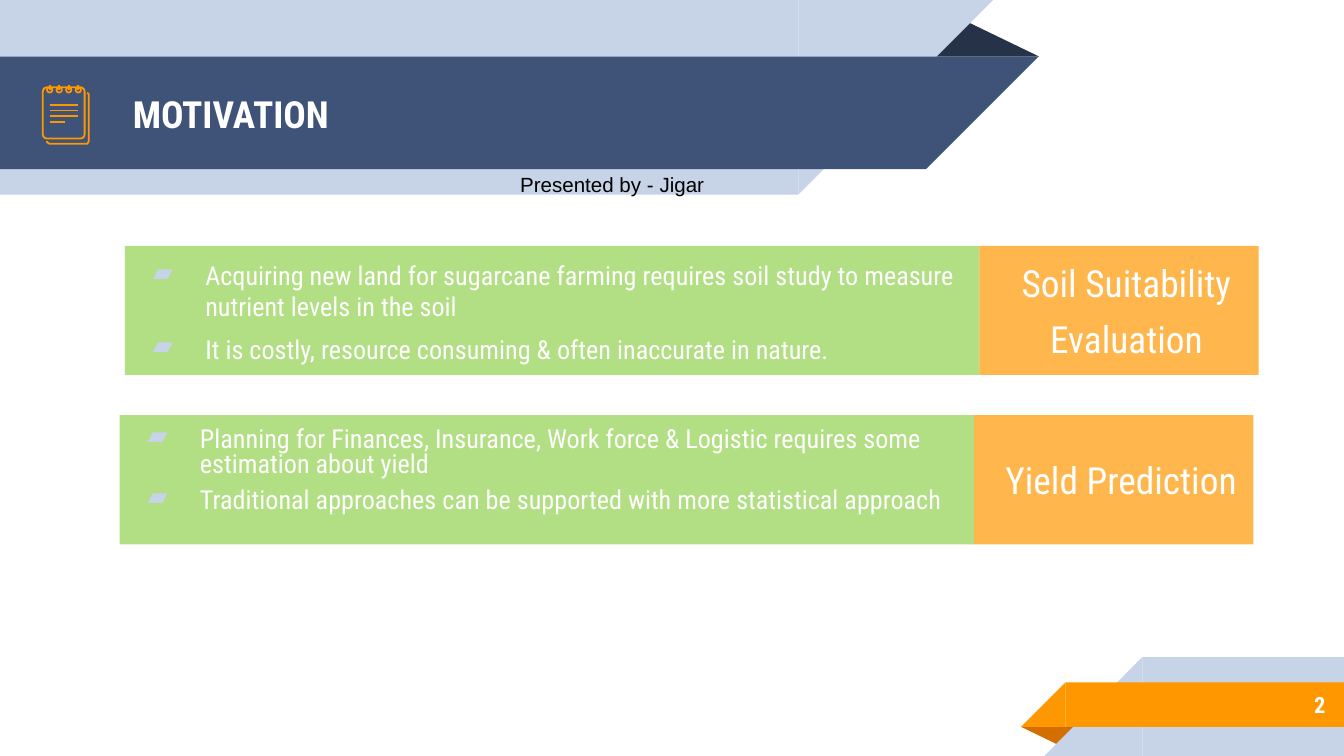
import pptx
import pptx.util
import pptx.dml.color
import pptx.enum.shapes
import pptx.enum.text
import pptx.oxml
import pptx.oxml.ns
from lxml import etree

Cm = pptx.util.Cm
Pt = pptx.util.Pt
Shape = pptx.enum.shapes.MSO_SHAPE
Align = pptx.enum.text.PP_ALIGN
Anchor = pptx.enum.text.MSO_ANCHOR
qn = pptx.oxml.ns.qn

NAVY, PALE, ORANGE, GREEN, WHITE = "3F5378", "C7D3E6", "FF9800", "92D050", "FFFFFF"
HEADING_FONT = "Roboto Condensed"


def colour(target, value):
    """Colour a fill, a line's fill or a font."""
    if hasattr(target, "solid"):
        target.solid()
        target.fore_color.rgb = pptx.dml.color.RGBColor.from_string(value)
    else:
        target.color.rgb = pptx.dml.color.RGBColor.from_string(value)


def write(box, lines, size, font=HEADING_FONT, value=WHITE, bold=False,
          align=Align.LEFT, anchor=Anchor.MIDDLE, indent=None, bullet=None, spacing=None):
    """Fill a box with one paragraph per line."""
    frame = box.text_frame
    frame.word_wrap = True
    frame.auto_size = pptx.enum.text.MSO_AUTO_SIZE.NONE
    frame.vertical_anchor = anchor
    frame.margin_left = frame.margin_right = Cm(0.25)
    frame.margin_top = frame.margin_bottom = Cm(0.25)
    frame.text = "\n".join(lines)
    for index, para in enumerate(frame.paragraphs):
        para.alignment = align
        para.space_before = Pt(6 if index else 0)
        if spacing:
            para.line_spacing = spacing
        props = para._p.get_or_add_pPr()
        if indent:
            props.set("marL", str(Cm(indent[0])))
            props.set("indent", str(Cm(indent[1])))
        if bullet:
            bullet_colour = etree.SubElement(props, qn("a:buClr"))
            etree.SubElement(bullet_colour, qn("a:srgbClr")).set("val", PALE)
            etree.SubElement(props, qn("a:buChar")).set("char", bullet)
        para.font.size = Pt(size)
        para.font.name = font
        para.font.bold = bold
        colour(para.font, value)


deck = pptx.Presentation()
deck.slide_width, deck.slide_height = Cm(25.4), Cm(14.29)
page = deck.slides.add_slide(deck.slide_layouts[5])
shapes = page.shapes

# Ribbons at the top left and bottom right: shape, place, colour, flip, rotation
ribbons = [
    (Shape.ISOSCELES_TRIANGLE, (17.48, 0.36, 2.16, 0.71), "263248", None, 0),
    (Shape.RECTANGLE, (0, 0, 15.09, 3.68), PALE, None, 0),
    (Shape.RIGHT_TRIANGLE, (15.09, 0, 3.68, 3.68), PALE, "flipV", 0),
    (Shape.RECTANGLE, (0, 1.07, 17.5, 2.13), NAVY, None, 0),
    (Shape.RIGHT_TRIANGLE, (17.5, 1.07, 2.13, 2.13), NAVY, "flipV", 0),
    (Shape.ISOSCELES_TRIANGLE, (19.3, 13.74, 1.09, 0.36), "D26F00", None, 180),
    (Shape.RECTANGLE, (21.59, 12.42, 3.81, 1.87), PALE, None, 0),
    (Shape.RIGHT_TRIANGLE, (19.74, 12.42, 1.85, 1.87), PALE, "flipH", 0),
    (Shape.RECTANGLE, (20.14, 12.9, 5.26, 0.84), ORANGE, None, 0),
    (Shape.RIGHT_TRIANGLE, (19.3, 12.9, 0.84, 0.84), ORANGE, "flipH", 0),
]
for kind, place, value, flip, rotation in ribbons:
    ribbon = shapes.add_shape(kind, *map(Cm, place))
    ribbon.shadow.inherit = False
    ribbon.line.fill.background()
    colour(ribbon.fill, value)
    ribbon.rotation = rotation
    if kind == Shape.ISOSCELES_TRIANGLE:
        ribbon.adjustments[0] = 0.32
    if flip:
        ribbon.element.spPr.get_or_add_xfrm().set(flip, "1")

# Title, raised above the ribbons
title = shapes.title
title.left, title.top, title.width, title.height = map(Cm, (2.26, 1.09, 14.6, 2.13))
write(title, ["MOTIVATION"], 20, bold=True)
shapes.element.append(title.element)

# Page number and presenter
number = shapes.add_textbox(Cm(21.16), Cm(12.88), Cm(4.14), Cm(0.89))
write(number, ["2"], 12, bold=True, align=Align.RIGHT)
presenter = shapes.add_textbox(Cm(9.58), Cm(3.12), Cm(6.55), Cm(0.74))
write(presenter, ["Presented by - Jigar"], 11, font="Arial", value="000000")

# Motivation rows: reasons on green, topic on orange
rows = [
    (2.36, 4.65, None, ["Soil Suitability", "Evaluation"],
     ["Acquiring new land for sugarcane farming requires soil study to measure "
      "nutrient levels in the soil",
      "It is costly, resource consuming & often inaccurate in nature."]),
    (2.26, 7.85, 0.8, ["Yield Prediction"],
     ["Planning for Finances, Insurance, Work force & Logistic requires some "
      "estimation about yield",
      "Traditional approaches can be supported with more statistical approach"]),
]
REASON_WIDTH, TOPIC_WIDTH, ROW_HEIGHT = 16.15, 5.28, 2.44
INDENT = (1.27, -0.99)
for left, top, spacing, topic, reasons in rows:
    reason_box = shapes.add_shape(
        Shape.RECTANGLE, Cm(left), Cm(top), Cm(REASON_WIDTH), Cm(ROW_HEIGHT))
    topic_box = shapes.add_shape(
        Shape.RECTANGLE, Cm(left + REASON_WIDTH), Cm(top), Cm(TOPIC_WIDTH), Cm(ROW_HEIGHT))
    for box, value in ((reason_box, GREEN), (topic_box, ORANGE)):
        box.shadow.inherit = False
        box.line.fill.background()
        colour(box.fill, value)
        fill_colour = box.element.spPr.find(qn("a:solidFill"))[0]
        etree.SubElement(fill_colour, qn("a:alpha")).set("val", "70000")
    write(reason_box, reasons, 14, anchor=Anchor.TOP, indent=INDENT, bullet="▰",
          spacing=spacing)
    write(topic_box, topic, 20, align=Align.CENTER, indent=INDENT)

# Notepad icon: back sheet, front sheet and rings
back_points = [(0.89, 2.69), (0.94, 2.72), (1.65, 2.72), (1.68, 2.67), (1.68, 1.78), (1.65, 1.75)]
outline = shapes.build_freeform(Cm(0.89), Cm(2.67))
outline.add_line_segments([(Cm(x), Cm(y)) for x, y in back_points], close=False)
front_sheet = shapes.add_shape(Shape.ROUNDED_RECTANGLE, Cm(0.81), Cm(1.65), Cm(0.79), Cm(0.97))
front_sheet.adjustments[0] = 0.1
icon_parts = [outline.convert_to_shape(), front_sheet]
RING_LEFT, RING_PITCH, RING_SIZE = 0.89, 0.18, 0.1
for index in range(4):
    icon_parts.append(shapes.add_shape(
        Shape.OVAL, Cm(RING_LEFT + index * RING_PITCH), Cm(1.65), Cm(RING_SIZE), Cm(RING_SIZE)))
for part in icon_parts:
    part.shadow.inherit = False
    part.fill.background()
    colour(part.line.fill, ORANGE)
    part.line.width = Pt(0.96)

# Notepad icon: ring pins and writing lines
strokes = []
for index in range(4):
    pin = 0.94 + index * RING_PITCH
    strokes.append((pin, 1.6, pin, 1.7))
    level = 1.98 + index * 0.11
    strokes.append((0.94, level, 1.22 if index == 3 else 1.47, level))
for ends in strokes:
    stroke = shapes.add_connector(pptx.enum.shapes.MSO_CONNECTOR.STRAIGHT, *map(Cm, ends))
    colour(stroke.line.fill, ORANGE)
    stroke.line.width = Pt(0.96)
    etree.SubElement(stroke.element.spPr, qn("a:effectLst"))

deck.save("out.pptx")
